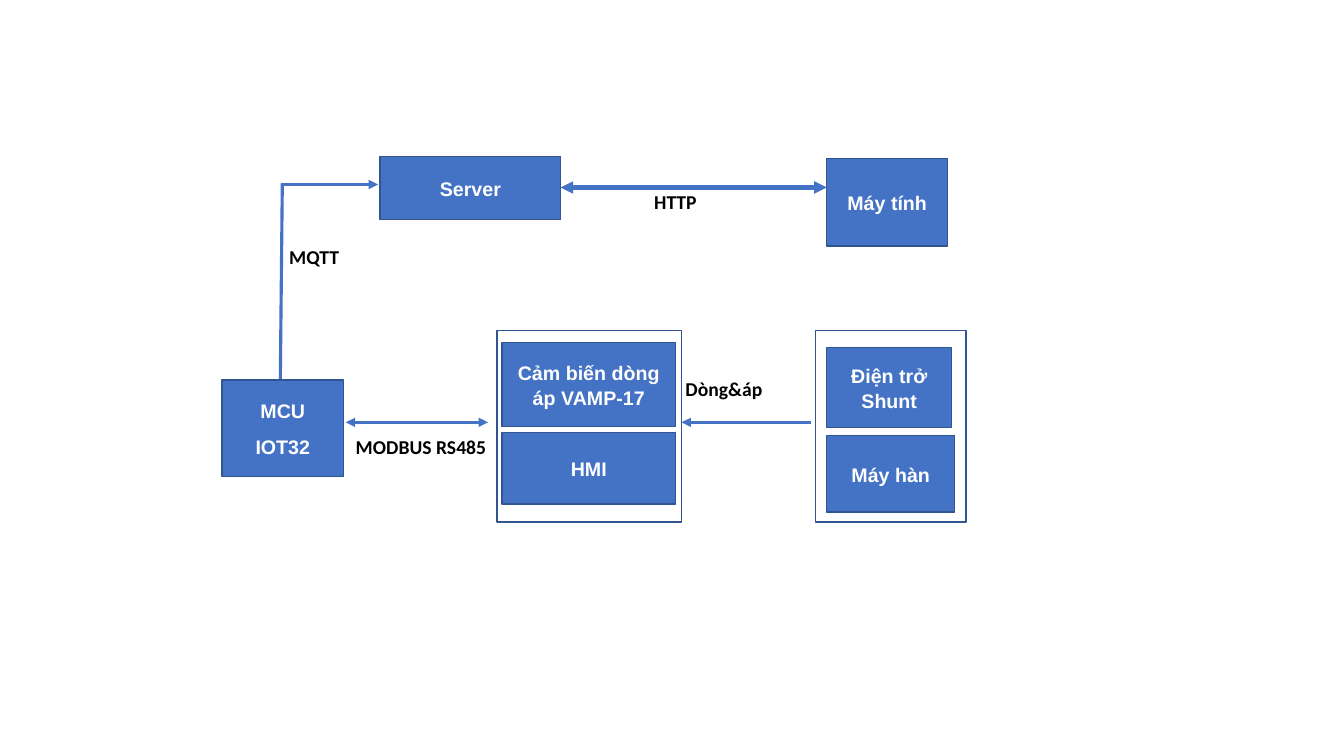
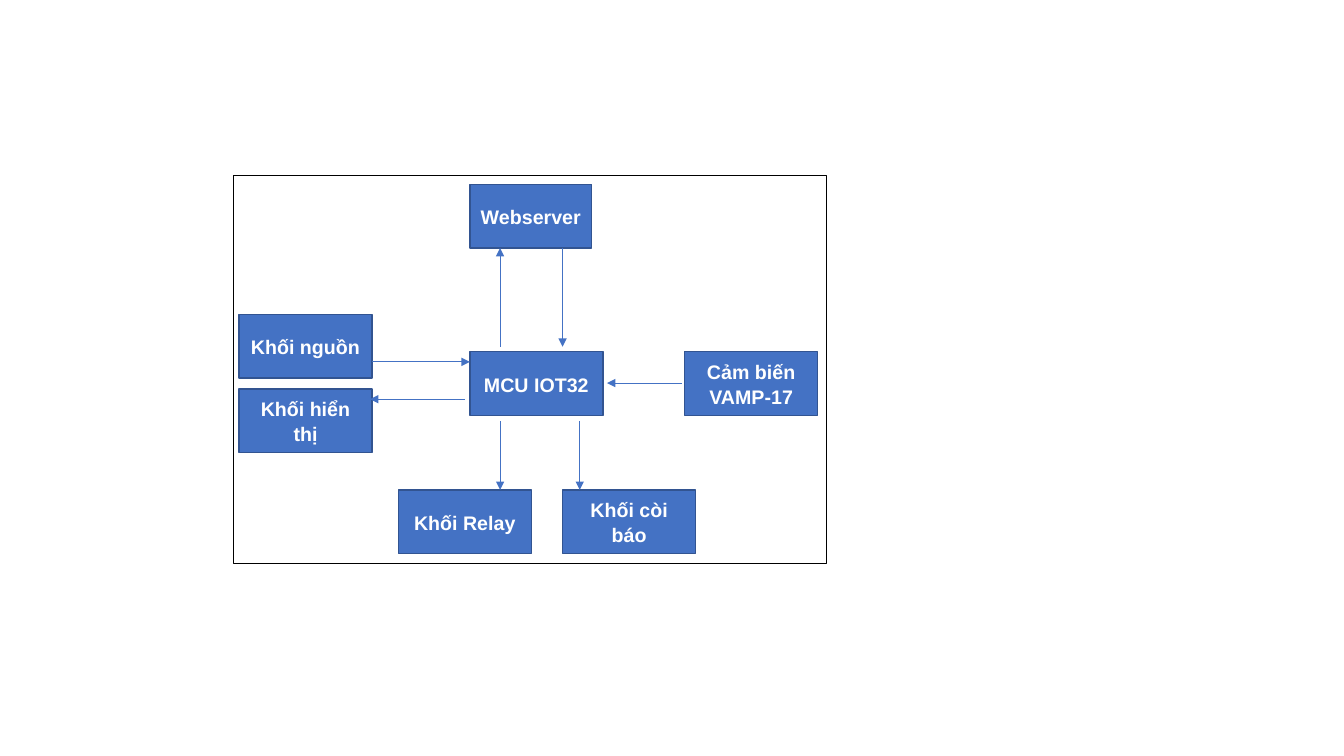
from lxml import etree
from pptx import Presentation
from pptx import util as u
from pptx.dml.color import RGBColor
from pptx.enum import shapes, text
from pptx.oxml import ns

BLUE = RGBColor(0x44, 0x72, 0xC4)
DARK_BLUE = RGBColor(0x32, 0x54, 0x91)
WHITE = RGBColor(0xFF, 0xFF, 0xFF)
BLACK = RGBColor(0, 0, 0)
CELL = u.Inches(0.1)
BLOCK_SIZE = (13.2, 6.3)


class Region:
    """A part of a slide whose contents are placed in grid cells from its corner."""

    def __init__(self, slide, column, row):
        self.slide, self.column, self.row = slide, column, row

    def point(self, column, row):
        return round((self.column + column) * CELL), round((self.row + row) * CELL)

    def place(self, box):
        column, row, width, height = box
        return (*self.point(column, row), round(width * CELL), round(height * CELL))

    def rectangle(self, box, color, width):
        shape = self.slide.shapes.add_shape(shapes.MSO_SHAPE.RECTANGLE, *self.place(box))
        shape.shadow.inherit = False
        shape.line.color.rgb = color
        shape.line.width = u.Pt(width)
        return shape

    def frame(self, box, color=DARK_BLUE, width=1):
        self.rectangle(box, color, width).fill.background()

    def block(self, box, *lines):
        shape = self.rectangle(box, DARK_BLUE, 1)
        shape.fill.solid()
        shape.fill.fore_color.rgb = BLUE
        shape.text_frame.vertical_anchor = text.MSO_ANCHOR.MIDDLE
        write(shape, lines, "Arial", WHITE, text.PP_ALIGN.CENTER)

    def label(self, box, line):
        shape = self.slide.shapes.add_textbox(*self.place(box))
        write(shape, [line], "Calibri", BLACK, text.PP_ALIGN.LEFT)

    def line(self, start, end, width, ends=("tailEnd",)):
        connector = self.slide.shapes.add_connector(
            shapes.MSO_CONNECTOR.STRAIGHT, *self.point(*start), *self.point(*end))
        connector.line.color.rgb = BLUE
        connector.line.width = u.Pt(width)
        outline = connector.line._get_or_add_ln()
        for name in ends:
            etree.SubElement(outline, ns.qn(f"a:{name}"), type="triangle")
        etree.SubElement(connector._element.spPr, ns.qn("a:effectLst"))


def write(shape, lines, font_name, color, alignment):
    frame = shape.text_frame
    frame.word_wrap = True
    for index, line in enumerate(lines):
        paragraph = frame.add_paragraph() if index else frame.paragraphs[0]
        paragraph.text = line
        paragraph.alignment = alignment
        paragraph.line_spacing = 1.06
        paragraph.space_after = u.Pt(8)
        paragraph.font.name = font_name
        paragraph.font.size = u.Pt(14)
        paragraph.font.bold = True
        paragraph.font.color.rgb = color


BOTH_ENDS = ("headEnd", "tailEnd")


def server_level(slide, column, row):
    region = Region(slide, column, row)
    region.block((15.7, 0, 17.9, 6.3), "Server")
    region.block((60, 0.2, 12, 8.7), "Máy tính")
    region.line((33.6, 3.1), (60, 3.1), 3, BOTH_ENDS)
    region.label((41.9, 2.7, 11.3, 4), "HTTP")
    region.label((5.7, 8.2, 10.8, 4), "MQTT")
    region.line((5.9, 2.8), (15.5, 2.8), 2.25)
    region.line((6, 2.7), (5.8, 22.4), 2.25, ())


def device_panel(slide, column, row, width, devices):
    region = Region(slide, column, row)
    for name, box in devices.items():
        region.block(box, name)
    region.frame((0, 0, width, 19))


def measurement_level(slide, column, row):
    region = Region(slide, column, row)
    region.block((0, 4.9, 12.1, 9.6), "MCU", "IOT32")
    device_panel(slide, column + 27.3, row, 18.3, {
        "Cảm biến dòng áp VAMP-17": (0.5, 1.2, 17.2, 8.3),
        "HMI": (0.5, 10.1, 17.2, 7.1),
    })
    device_panel(slide, column + 58.9, row, 14.9, {
        "Điện trở Shunt": (1.1, 1.7, 12.4, 7.9),
        "Máy hàn": (1.1, 10.4, 12.7, 7.6),
    })
    region.line((12.3, 9.1), (26.4, 9.1), 2.25, BOTH_ENDS)
    region.label((12.3, 9.7, 16.9, 5.5), "MODBUS RS485")
    region.line((58.4, 9.1), (45.6, 9.1), 2.25)
    region.label((45, 4, 14.8, 8.5), "Dòng&áp")


def controller_diagram(slide, column, row):
    region = Region(slide, column, row)
    region.block((23.4, 0.9, 12.1, 6.3), "Webserver")
    blocks = {
        "MCU IOT32": (23.4, 17.5),
        "Cảm biến VAMP-17": (44.7, 17.5),
        "Khối nguồn": (0.5, 13.8),
        "Khối hiển thị": (0.5, 21.2),
        "Khối Relay": (16.3, 31.2),
        "Khối còi báo": (32.6, 31.2),
    }
    for name, corner in blocks.items():
        region.block((*corner, *BLOCK_SIZE), name)
    arrows = [
        ((26.4, 17), (26.4, 7.2)),
        ((32.6, 7.2), (32.6, 17)),
        ((44.4, 20.6), (37, 20.6)),
        ((13.7, 18.5), (23.4, 18.5)),
        ((22.9, 22.2), (13.5, 22.2)),
        ((26.4, 24.4), (26.4, 31.2)),
        ((34.3, 24.4), (34.3, 31.2)),
    ]
    for start, end in arrows:
        region.line(start, end, 0.5)
    region.frame((0, 0, 58.8, 38.5), BLACK, 0.75)


def main():
    presentation = Presentation()
    presentation.slide_width = u.Inches(13.33)
    presentation.slide_height = u.Inches(7.5)
    blank = presentation.slide_layouts[6]

    system_slide = presentation.slides.add_slide(blank)
    server_level(system_slide, 22, 15.5)
    measurement_level(system_slide, 22, 32.8)

    controller_slide = presentation.slides.add_slide(blank)
    controller_diagram(controller_slide, 23.2, 17.4)

    presentation.save("out.pptx")


if __name__ == "__main__":
    main()
